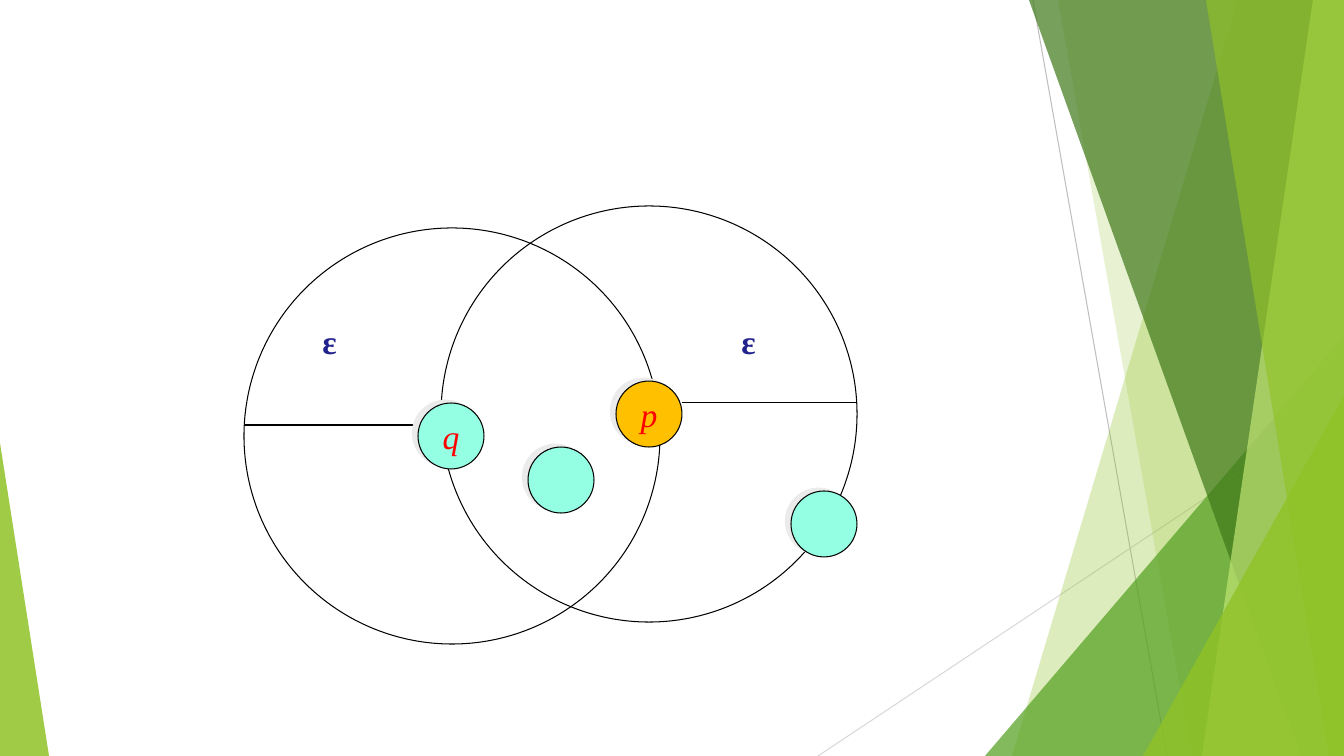
from lxml.etree import SubElement
from pptx import Presentation
from pptx.dml.color import RGBColor
from pptx.enum.shapes import MSO_CONNECTOR as Connector, MSO_SHAPE as Shape
from pptx.enum.text import MSO_ANCHOR as Anchor, PP_ALIGN as Align
from pptx.oxml.ns import qn
from pptx.util import Emu, Pt

SCALE = 914400 / 100.8  # EMU per px
WIDTH, HEIGHT = 1344, 756
NEIGHBOURHOOD, POINT = 416, 66  # circle diameters
COLOURS = {
    "black": "000000", "lime": "90C226", "green": "54A021",
    "forest": "3F7819", "pale": "C0E474", "grey": "BFBFBF",
    "silver": "D9D9D9", "aqua": "95FFE3", "amber": "FFC000",
    "red": "FF0000", "navy": "23238E", "shadow": "EBEBEB",
}


def px(length):
    return Emu(round(length * SCALE))


def colour(name):
    return RGBColor.from_string(COLOURS[name])


def add_line(page, start, end, line_colour="black"):
    line = page.shapes.add_connector(
        Connector.STRAIGHT, *(px(value) for value in (*start, *end)))
    line.line.color.rgb = colour(line_colour)
    line.line.width = Pt(0.75)
    SubElement(line._element.spPr, qn("a:effectLst"))


def fill_facet(shape, name, opacity):
    shape.shadow.inherit = False
    shape.line.fill.background()
    shape.fill.solid()
    shape.fill.fore_color.rgb = colour(name)
    tint = shape._element.spPr.find(qn("a:solidFill"))[0]
    SubElement(tint, qn("a:alpha"), val=str(opacity * 1000))


def add_band(page, top_left, bottom_left, name, opacity):
    """Band reaching from a slanted left edge to the right of the slide."""
    outline = page.shapes.build_freeform(top_left, 0, SCALE)
    outline.add_line_segments(
        [(WIDTH, 0), (WIDTH, HEIGHT), (bottom_left, HEIGHT)])
    fill_facet(outline.convert_to_shape(), name, opacity)


def add_corner(page, left, top, width, apex, name, opacity):
    """Right-angled triangle standing on the bottom edge."""
    corner = page.shapes.add_shape(
        Shape.ISOSCELES_TRIANGLE, px(left), px(top), px(width), px(HEIGHT - top))
    corner.adjustments[0] = apex
    fill_facet(corner, name, opacity)


def add_circle(page, left, top, size):
    circle = page.shapes.add_shape(
        Shape.OVAL, px(left), px(top), px(size), px(size))
    circle.shadow.inherit = False
    circle.fill.background()
    circle.line.color.rgb = colour("black")
    circle.line.width = Pt(0.75)
    return circle


def write_symbol(shape, text, name, anchor, bold=False, italic=False):
    frame = shape.text_frame
    frame.word_wrap = False
    frame.vertical_anchor = anchor
    frame.text = text
    para = frame.paragraphs[0]
    para.alignment = Align.CENTER
    font = para.runs[0].font
    font.name, font.size = "Times New Roman", Pt(24)
    font.bold, font.italic = bold, italic
    font.color.rgb = colour(name)


def add_point(page, left, top, name, label=None):
    point = add_circle(page, left, top, POINT)
    point.fill.solid()
    point.fill.fore_color.rgb = colour(name)
    effects = point._element.spPr.find(qn("a:effectLst"))
    shadow = SubElement(effects, qn("a:outerShdw"), blurRad="0",
                        dist=str(Pt(4.5)), dir=str(207 * 60000),
                        algn="ctr", rotWithShape="0")
    SubElement(shadow, qn("a:srgbClr"), val=COLOURS["shadow"])
    if label:
        write_symbol(point, label, "red", Anchor.MIDDLE, italic=True)


def add_radius_label(page, left):
    box = page.shapes.add_textbox(px(left), px(316), px(91), px(131))
    write_symbol(box, "ε", "navy", Anchor.TOP, bold=True)


def add_decoration(page):
    add_line(page, (1033, 0), (1167, HEIGHT), "grey")
    add_line(page, (WIDTH, 406), (818, HEIGHT), "silver")
    add_band(page, 1238, 1012, "lime", 30)
    add_band(page, 1058, 1192, "lime", 20)
    add_corner(page, 985, 336, 359, 1, "green", 72)
    add_band(page, 1029, 1301, "forest", 70)
    add_band(page, 1313, 1202, "pale", 70)
    add_band(page, 1206, 1329, "lime", 65)
    add_corner(page, 1143, 396, 201, 1, "lime", 80)
    add_corner(page, 0, 443, 49, 0, "lime", 85)


def add_diagram(page):
    # Neighbourhoods of q and p
    add_line(page, (244, 425), (418, 425))
    add_circle(page, 244, 228, NEIGHBOURHOOD)
    add_circle(page, 441, 206, NEIGHBOURHOOD)

    # Points
    add_point(page, 418, 403, "aqua", "q")
    add_point(page, 528, 447, "aqua")
    add_point(page, 791, 491, "aqua")
    add_point(page, 616, 381, "amber", "p")

    # Radius of p, and both radius labels
    add_line(page, (682, 403), (857, 403))
    for left in (703, 284):
        add_radius_label(page, left)


def main():
    deck = Presentation()
    deck.slide_width, deck.slide_height = px(WIDTH), px(HEIGHT)
    page = deck.slides.add_slide(deck.slide_layouts[6])
    add_decoration(page)
    add_diagram(page)
    deck.save("out.pptx")


if __name__ == "__main__":
    main()
